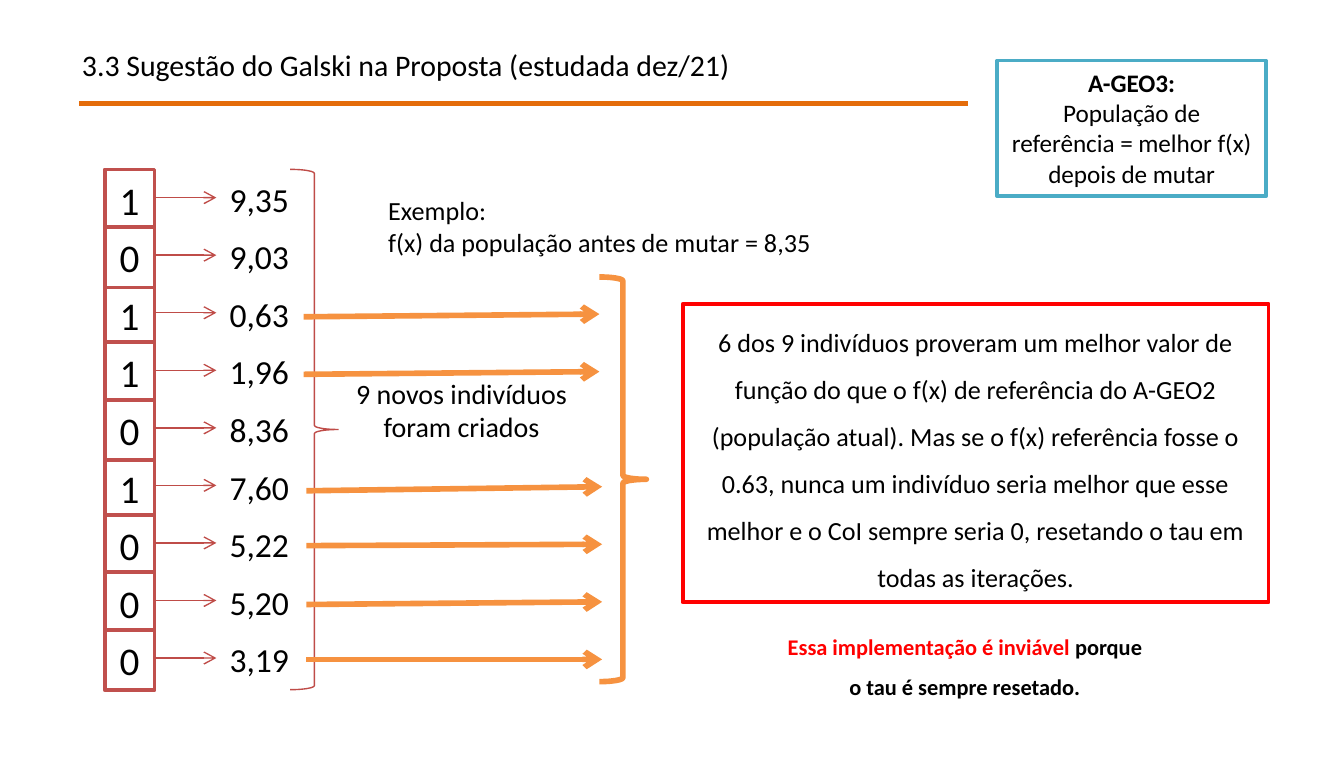
from lxml.etree import SubElement
from pptx import Presentation
from pptx.dml.color import RGBColor
from pptx.enum.shapes import MSO_CONNECTOR, MSO_SHAPE
from pptx.enum.text import MSO_ANCHOR, MSO_AUTO_SIZE, PP_ALIGN
from pptx.oxml.ns import qn
from pptx.util import Inches, Pt

FONT = "Calibri"
BLACK = RGBColor(0x00, 0x00, 0x00)
WHITE = RGBColor(0xFF, 0xFF, 0xFF)
RED = RGBColor(0xFF, 0x00, 0x00)
BRICK = RGBColor(0xC0, 0x50, 0x4D)
DARK_BRICK = RGBColor(0xBF, 0x4C, 0x48)
ORANGE = RGBColor(0xF6, 0x92, 0x40)
DARK_ORANGE = RGBColor(0xE4, 0x6C, 0x0A)
TEAL = RGBColor(0x4B, 0xAC, 0xC6)

# One row per individual: its bit and the f(x) it gives
INDIVIDUALS = [(1, "9,35"), (0, "9,03"), (1, "0,63"), (1, "1,96"), (0, "8,36"),
               (1, "7,60"), (0, "5,22"), (0, "5,20"), (0, "3,19")]
ROW_TOP, ROW_PITCH = 1.26, 0.428
BIT_LEFT, BIT_WIDTH, VALUE_LEFT = 0.78, 0.37, 1.61

# Better individuals: row, left end of the arrow, rise towards its head
BETTER = [(2, 2.26, 0.02), (3, 2.26, 0.02), (5, 2.28, 0.03),
          (6, 2.28, 0.01), (7, 2.28, 0.02), (8, 2.28, 0)]
BETTER_LENGTH = 2.2


def row_y(row, offset=0):
    return ROW_TOP + row * ROW_PITCH + offset


def write(frame, paragraphs, size, align=PP_ALIGN.CENTER, spacing=None):
    """Fill a frame; each paragraph is a list of (text, bold, colour) runs."""
    frame.word_wrap = True
    frame.auto_size = MSO_AUTO_SIZE.NONE
    frame.vertical_anchor = MSO_ANCHOR.TOP
    for index, runs in enumerate(paragraphs):
        paragraph = frame.add_paragraph() if index else frame.paragraphs[0]
        paragraph.alignment = align
        if spacing:
            paragraph.line_spacing = spacing
        for text, bold, color in runs:
            run = paragraph.add_run()
            run.text = text
            run.font.name = FONT
            run.font.size = Pt(size)
            run.font.bold = bold
            run.font.color.rgb = color


def plain(*lines):
    return [[(line, False, BLACK)] for line in lines]


def add_outline(slide, preset, box, color, width):
    shape = slide.shapes.add_shape(preset, *map(Inches, box))
    shape.shadow.inherit = False
    if color is None:
        shape.line.fill.background()
    else:
        shape.line.color.rgb = color
        shape.line.width = Pt(width)
    return shape


def add_box(slide, box, paragraphs, size, border=None, **text_format):
    shape = add_outline(slide, MSO_SHAPE.RECTANGLE, box, border, 2)
    shape.fill.solid()
    shape.fill.fore_color.rgb = WHITE
    write(shape.text_frame, paragraphs, size, **text_format)


def add_brace(slide, box, color, width):
    add_outline(slide, MSO_SHAPE.RIGHT_BRACE, box, color, width).fill.background()


def add_line(slide, start, end, color, width, arrow=True):
    line = slide.shapes.add_connector(
        MSO_CONNECTOR.STRAIGHT, *map(Inches, (*start, *end)))
    line.line.color.rgb = color
    line.line.width = Pt(width)
    if arrow:
        SubElement(line.line._get_or_add_ln(), qn("a:tailEnd"), type="arrow")
    SubElement(line._element.spPr, qn("a:effectLst"))


def add_heading(slide):
    title = slide.shapes.title
    title.left, title.top, title.width, title.height = map(
        Inches, (0.51, 0.3, 7.26, 0.37))
    write(title.text_frame,
          plain("3.3 Sugestão do Galski na Proposta (estudada dez/21)"),
          16, align=PP_ALIGN.LEFT)
    add_line(slide, (0.59, 0.77), (7.2, 0.77), DARK_ORANGE, 3, arrow=False)


def add_individuals(slide):
    rows = list(enumerate(INDIVIDUALS))
    # Cells overlap slightly, and the zeros lie over the ones
    for row, (bit, _) in sorted(rows, key=lambda item: -item[1][0]):
        add_box(slide, (BIT_LEFT, row_y(row), BIT_WIDTH, 0.45),
                plain(str(bit)), 21, BRICK)
    for row, (_, value) in rows:
        add_box(slide, (VALUE_LEFT, row_y(row, 0.02), 0.76, 0.4),
                plain(value), 18, align=PP_ALIGN.LEFT)
        y = row_y(row, 0.21)
        add_line(slide, (BIT_LEFT + BIT_WIDTH, y), (VALUE_LEFT, y),
                 DARK_BRICK, 0.75)


def add_better_arrows(slide):
    for row, left, rise in BETTER:
        y = row_y(row, 0.22)
        add_line(slide, (left, y + rise), (left + BETTER_LENGTH, y), ORANGE, 3)


def add_conclusion(slide):
    add_box(slide, (5.08, 2.26, 4.36, 2.22), plain(
        "6 dos 9 indivíduos proveram um melhor valor de função do que o f(x) "
        "de referência do A-GEO2 (população atual). Mas se o f(x) referência "
        "fosse o 0.63, nunca um indivíduo seria melhor que esse melhor e o CoI "
        "sempre seria 0, resetando o tau em todas as iterações."),
        14, RED, spacing=1.5)
    verdict = slide.shapes.add_textbox(*map(Inches, (5.71, 4.56, 2.94, 0.71)))
    write(verdict.text_frame,
          [[("Essa implementação é inviável", True, RED),
            (" porque o tau é sempre resetado.", True, BLACK)]],
          12, spacing=1.5)
    verdict.text_frame.paragraphs[0].space_after = Pt(12)


def main():
    deck = Presentation()
    deck.slide_width, deck.slide_height = Inches(10), Inches(5.63)
    slide = deck.slides.add_slide(deck.slide_layouts[5])

    add_heading(slide)
    add_individuals(slide)
    add_box(slide, (2.79, 1.4, 3.84, 0.57),
            plain("Exemplo:", "f(x) da população antes de mutar = 8,35"),
            14, align=PP_ALIGN.LEFT)
    add_brace(slide, (2.16, ROW_TOP, 0.36, 3.87), DARK_BRICK, 0.75)
    add_box(slide, (2.52, 2.75, 1.83, 0.86),
            plain("9 novos indivíduos", "foram criados"), 15)
    add_box(slide, (7.42, 0.45, 2, 1.01),
            [[("A-GEO3:", True, BLACK)],
             *plain("População de referência = melhor f(x) depois de mutar")],
            13.5, TEAL)
    add_better_arrows(slide)
    add_brace(slide, (4.46, 2.06, 0.35, 3.01), ORANGE, 3)
    add_conclusion(slide)

    deck.save("out.pptx")


if __name__ == "__main__":
    main()
